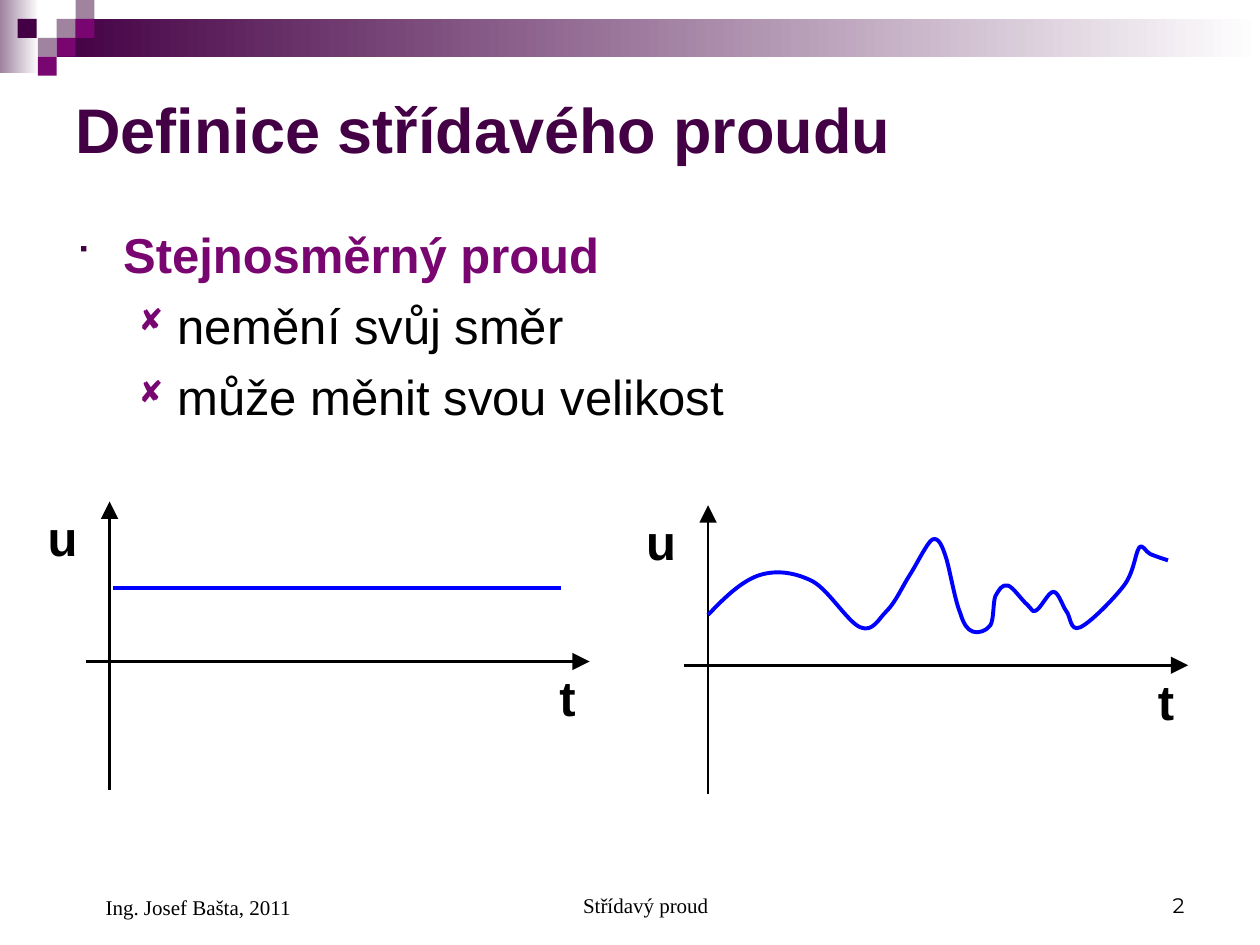
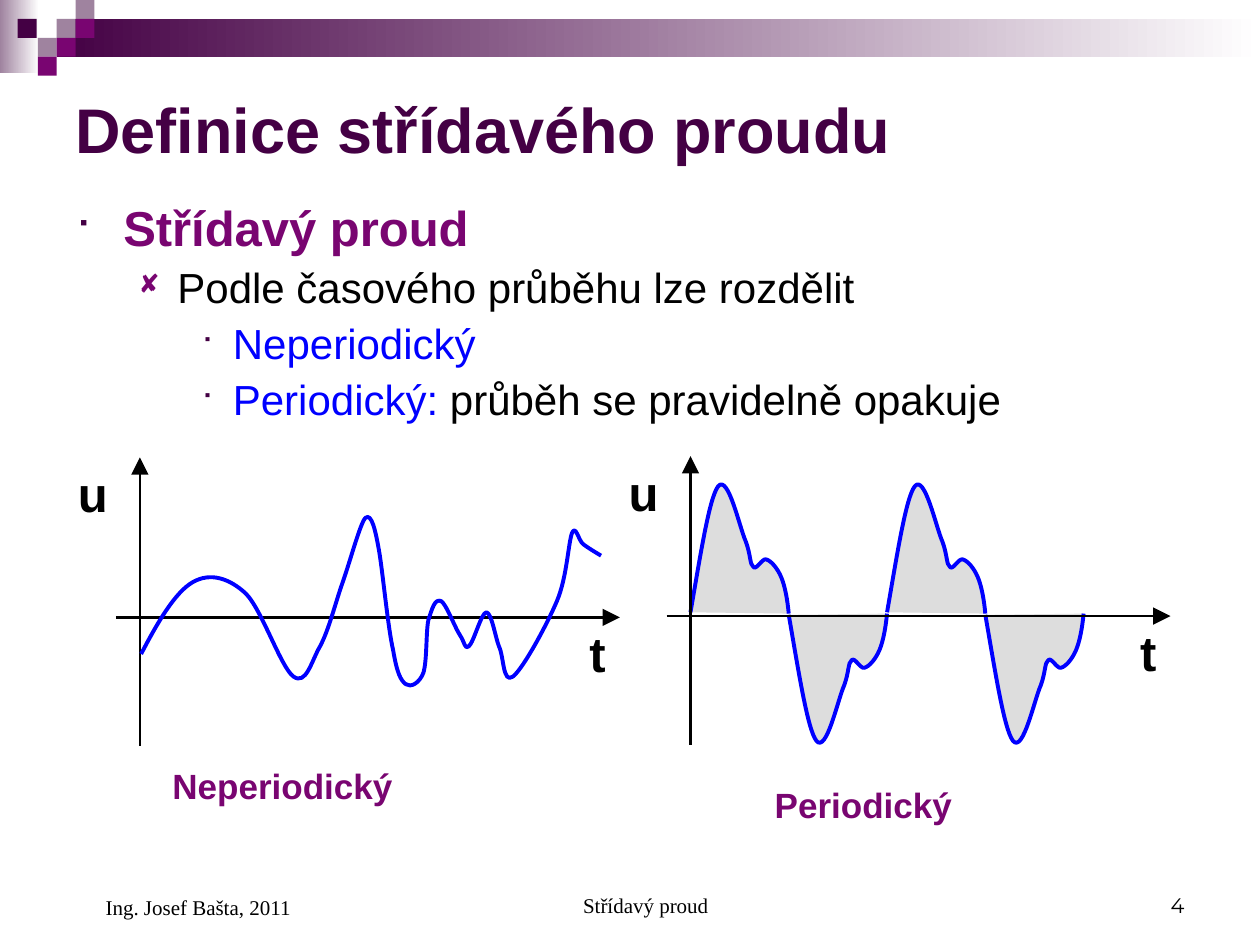
from lxml import etree
from pptx import Presentation
from pptx import util as u
from pptx.dml.color import RGBColor
from pptx.enum import shapes, text
from pptx.oxml.ns import qn

PX = 9144  # 100 px to the inch
PLUM, VIOLET, MAUVE = "440044", "790571", "9F839F"
BLACK, WHITE, BLUE, GRAY = "000000", "FFFFFF", "0000FF", "DDDDDD"

HEADING = {"name": "Arial", "size": u.Pt(36), "bold": True, "color": PLUM}
TERM = {"name": "Arial", "size": u.Pt(28), "bold": True, "color": VIOLET}
PLAIN = {"name": "Arial", "size": u.Pt(28), "color": BLACK}
DETAIL = {**PLAIN, "size": u.Pt(24)}
KIND = {**DETAIL, "color": BLUE}
AXIS_NAME = {**PLAIN, "bold": True}
CAPTION = {**TERM, "size": u.Pt(20)}
FOOTER = {"name": "Times New Roman", "size": u.Pt(12), "color": BLACK}
PAGE_NUMBER = {**FOOTER, "name": "Montserrat"}

# Outline level: left margin, hanging indent, bullet, bullet colour, bullet size in %
LEVELS = [(38, 38, "■", PLUM, 75), (81, 31, "◻", VIOLET, 80), (125, 25, "■", PLUM, 65)]

# Each curve is a start point, then cubic segments of two control points and an end
IRREGULAR = (0, 112), [
    (13, 87, 27, 63, 41, 55), (55, 47, 70, 52, 83, 64), (96, 77, 111, 123, 121, 130),
    (131, 137, 135, 118, 142, 106), (149, 93, 154, 72, 160, 55), (166, 38, 174, 8, 178, 4),
    (183, 0, 186, 14, 189, 31), (192, 49, 196, 92, 200, 109), (203, 127, 206, 133, 210, 136),
    (214, 139, 221, 135, 224, 127), (227, 118, 226, 94, 228, 85), (231, 76, 233, 68, 238, 70),
    (242, 72, 249, 91, 253, 97), (257, 103, 257, 109, 260, 106), (264, 103, 270, 79, 274, 79),
    (278, 79, 281, 98, 284, 106), (288, 114, 287, 136, 295, 130), (303, 124, 322, 89, 330, 70),
    (338, 51, 339, 24, 342, 16), (345, 9, 347, 22, 351, 25), (355, 28, 360, 31, 365, 34)]
HALF_WAVE = (0, 110), [
    (8, 64, 15, 19, 22, 10), (30, 0, 39, 43, 44, 54), (48, 65, 47, 72, 50, 74),
    (52, 77, 57, 67, 60, 68), (64, 69, 69, 75, 72, 82), (75, 89, 77, 100, 78, 111)]
HALF_WIDTH, HALF_HEIGHT = 78, 111


def color(value):
    return RGBColor.from_string(value)


def px(*values):
    return [round(value * PX) for value in values]


def apply(target, values):
    for name, value in values.items():
        setattr(target, name, value)


def add_spans(para, spans):
    for words, look in spans:
        span = para.add_run()
        span.text = words
        apply(span.font, {key: look[key] for key in look if key != "color"})
        span.font.color.rgb = color(look["color"])


def add_frame(page, box, anchor="TOP"):
    frame = page.shapes.add_textbox(*px(*box)).text_frame
    apply(frame, {"word_wrap": True, "vertical_anchor": getattr(text.MSO_ANCHOR, anchor)})
    return frame


def add_label(page, box, words, look, anchor="TOP", align="LEFT", margin=0):
    para = add_frame(page, box, anchor).paragraphs[0]
    para.alignment = getattr(text.PP_ALIGN, align)
    if margin:
        para._p.get_or_add_pPr().set("marL", str(margin * PX))
    add_spans(para, [(words, look)])


def add_bullet(para, level):
    margin, hanging, sign, tint, percent = LEVELS[level]
    props = para._p.get_or_add_pPr()
    props.set("marL", str(margin * PX))
    props.set("indent", str(-hanging * PX))
    holder = etree.SubElement(props, qn("a:buClr"))
    etree.SubElement(holder, qn("a:srgbClr"), val=tint)
    etree.SubElement(props, qn("a:buSzPct"), val=str(percent * 1000))
    etree.SubElement(props, qn("a:buFont"), typeface="Wingdings")
    etree.SubElement(props, qn("a:buChar"), char=sign)


def add_outline(page, box, items, gap, spacing):
    """Write bulleted items, each a level and its spans."""
    frame = add_frame(page, box)
    for index, (level, spans) in enumerate(items):
        para = frame.add_paragraph() if index else frame.paragraphs[0]
        apply(para, {"space_before": u.Pt(gap if index else 0), "line_spacing": spacing,
                     "level": level})
        add_bullet(para, level)
        add_spans(para, spans)


def add_block(page, box, tint, fading=False):
    block = page.shapes.add_shape(shapes.MSO_SHAPE.RECTANGLE, *px(*box))
    block.shadow.inherit = False
    block.line.fill.background()
    if fading:
        block.fill.gradient()
        block.fill.gradient_angle = 0
        for stop, shade in zip(block.fill.gradient_stops, (tint, WHITE)):
            stop.color.rgb = color(shade)
    else:
        block.fill.solid()
        block.fill.fore_color.rgb = color(tint)


def add_band(page):
    add_block(page, (0, 0, 31, 58), MAUVE, fading=True)
    add_block(page, (45, 15, 955, 30), PLUM, fading=True)
    for left, top, tint in [(45, 15, MAUVE), (60, 0, MAUVE), (60, 15, VIOLET), (30, 30, MAUVE),
                            (14, 15, PLUM), (45, 30, VIOLET), (30, 45, VIOLET)]:
        add_block(page, (left, top, 15, 15), tint)


def add_footers(page, number):
    add_label(page, (342, 683, 317, 50), "Střídavý proud", FOOTER, "BOTTOM", "CENTER", 24)
    add_label(page, (717, 683, 233, 50), number, PAGE_NUMBER, "BOTTOM", "RIGHT")
    add_label(page, (50, 683, 233, 52), "Ing. Josef Bašta, 2011", FOOTER, "BOTTOM", margin=24)


def add_page(deck, number):
    page = deck.slides.add_slide(deck.slide_layouts[6])
    add_band(page)
    add_label(page, (50, 50, 900, 103), "Definice střídavého proudu", HEADING, "MIDDLE")
    add_footers(page, number)
    return page


def add_line(page, ends, tint, points, arrow=False):
    line = page.shapes.add_connector(shapes.MSO_CONNECTOR.STRAIGHT, *px(*ends))
    line.line.width = u.Pt(points)
    line.line.color.rgb = color(tint)
    if arrow:
        etree.SubElement(line.line._get_or_add_ln(), qn("a:tailEnd"),
                         type="triangle", w="lg", len="lg")
    etree.SubElement(line._element.spPr, qn("a:effectLst"))


def add_axes(page, left, top):
    middle = top + 127
    add_line(page, (left + 40, middle, left + 440, middle), BLACK, 1.5, arrow=True)
    add_line(page, (left + 59, top + 229, left + 59, top), BLACK, 1.5, arrow=True)
    add_label(page, (left, top, 67, 57), "u", AXIS_NAME)
    add_label(page, (left + 406, middle, 45, 57), "t", AXIS_NAME)


def bend(shape):
    """Turn each three line segments of a freeform into one cubic segment."""
    lines = list(shape._element.iter(qn("a:lnTo")))
    for first, second, third in zip(lines[::3], lines[1::3], lines[2::3]):
        cubic = etree.Element(qn("a:cubicBezTo"))
        first.addprevious(cubic)
        for line in (first, second, third):
            cubic.append(line[0])
            line.getparent().remove(line)


def add_curve(page, left, top, curve, stretch=1, fill=None):
    """Draw a curve from its top left corner; a negative stretch mirrors it."""
    start, segments = curve
    corners = [start] + [segment[at:at + 2] for segment in segments for at in (0, 2, 4)]
    points = [px(left + x, top + y * stretch) for x, y in corners]
    builder = page.shapes.build_freeform(*points[0])
    builder.add_line_segments(points[1:], close=False)
    shape = builder.convert_to_shape()
    bend(shape)
    shape.shadow.inherit = False
    shape.line.width = u.Pt(2.25)
    shape.line.color.rgb = color(BLUE)
    if fill:
        shape.fill.solid()
        shape.fill.fore_color.rgb = color(fill)
    else:
        shape.fill.background()


def add_constant_graph(page, left, top):
    add_axes(page, left, top)
    add_line(page, (left + 62, top + 69, left + 417, top + 69), BLUE, 2.25)


def add_irregular_graph(page, left, top, offset, stretch=1):
    add_axes(page, left, top)
    add_curve(page, left + offset[0], top + offset[1], IRREGULAR, stretch)


def add_periodic_graph(page, left, top):
    for index in range(4):
        below = index % 2
        add_curve(page, left + 59 + index * HALF_WIDTH, top + 14 + below * 2 * HALF_HEIGHT,
                  HALF_WAVE, -1 if below else 1, GRAY)
    add_axes(page, left, top)


def build_direct_current(deck):
    page = add_page(deck, "2")
    add_outline(page, (50, 173, 900, 193), [
        (0, [("Stejnosměrný proud", TERM)]),
        (1, [("nemění svůj směr", PLAIN)]),
        (1, [("může měnit svou velikost", PLAIN)])], gap=7, spacing=1.0)
    add_constant_graph(page, 28, 398)
    add_irregular_graph(page, 503, 401, offset=(59, 25), stretch=77 / 139)


def build_alternating_current(deck):
    page = add_page(deck, "4")
    add_outline(page, (50, 157, 862, 198), [
        (0, [("Střídavý proud", TERM)]),
        (1, [("Podle časového průběhu lze rozdělit", DETAIL)]),
        (2, [("Neperiodický", KIND)]),
        (2, [("Periodický:", KIND), (" průběh se pravidelně opakuje", DETAIL)])],
        gap=6, spacing=0.9)
    add_periodic_graph(page, 489, 362)
    add_label(page, (605, 617, 321, 44), "Periodický", CAPTION)
    add_label(page, (127, 602, 321, 44), "Neperiodický", CAPTION)
    add_irregular_graph(page, 52, 363, offset=(60, 44))


def main():
    deck = Presentation()
    deck.slide_width, deck.slide_height = px(1000, 750)
    build_direct_current(deck)
    build_alternating_current(deck)
    deck.save("out.pptx")


if __name__ == "__main__":
    main()
